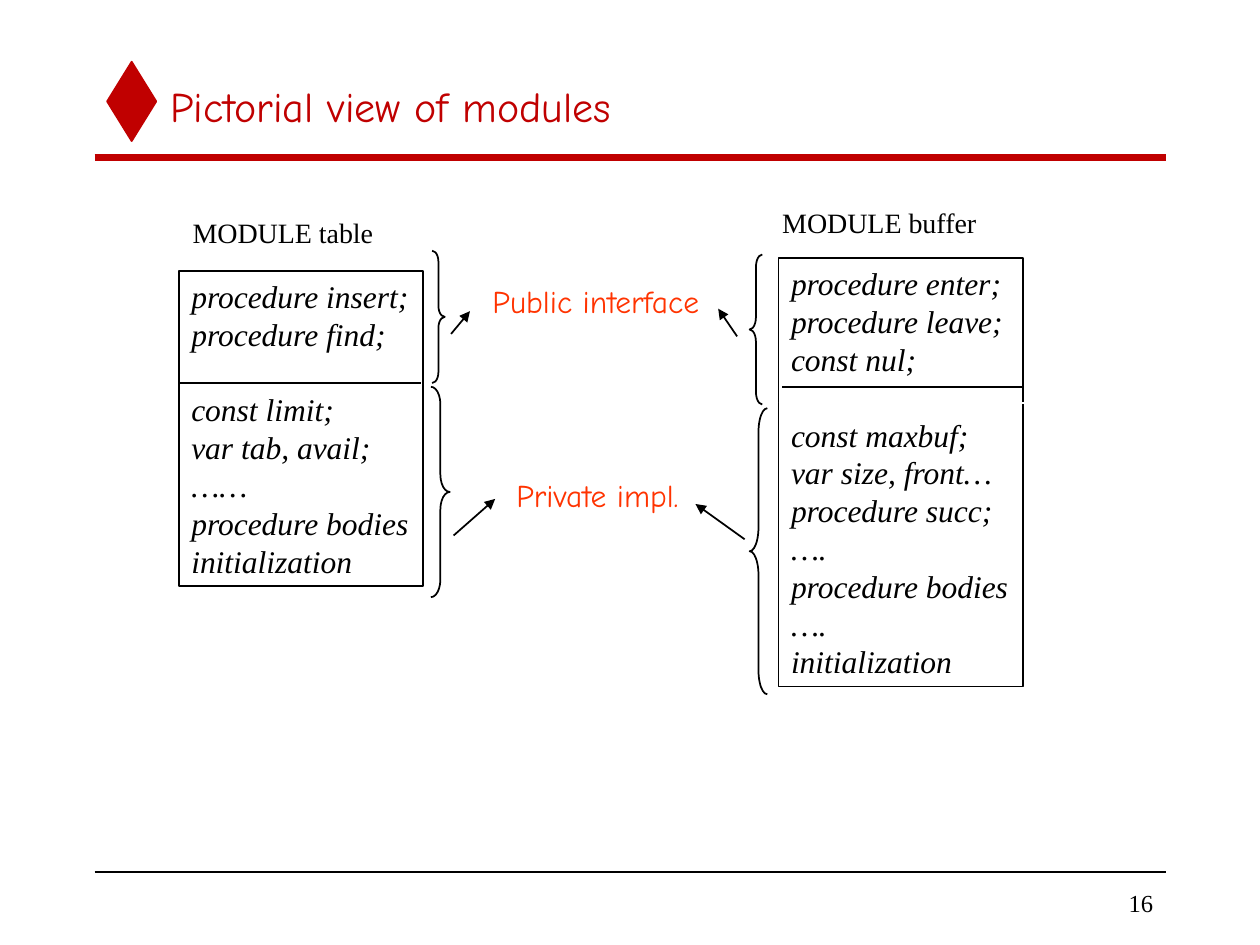
from dataclasses import dataclass

from lxml import etree
from pptx import Presentation
from pptx.dml.color import RGBColor
from pptx.enum import shapes, text
from pptx.oxml import ns
from pptx.util import Inches, Pt


@dataclass(frozen=True)
class Theme:
    red: RGBColor = RGBColor(0xC0, 0x00, 0x00)
    orange: RGBColor = RGBColor(0xFF, 0x33, 0x00)
    black: RGBColor = RGBColor(0x00, 0x00, 0x00)
    white: RGBColor = RGBColor(0xFF, 0xFF, 0xFF)
    serif: str = "Times New Roman"
    comic: str = "Comic Neue"
    title: int = 24
    body: int = 18
    heading: int = 16
    number: int = 14
    leading: float = 1.2


T = Theme()


def style_font(p, size, name, color, italic=False):
    p.font.size = Pt(size)
    p.font.name = name
    p.font.color.rgb = color
    p.font.italic = italic


def add_line(s, x1, y1, x2, y2, color=T.black, width=1, arrow=False):
    line = s.shapes.add_connector(
        shapes.MSO_CONNECTOR.STRAIGHT, Inches(x1), Inches(y1), Inches(x2), Inches(y2))
    line.line.color.rgb = color
    line.line.width = Pt(width)
    if arrow:
        etree.SubElement(line.line._get_or_add_ln(), ns.qn("a:tailEnd"), type="triangle")
    etree.SubElement(line._element.spPr, ns.qn("a:effectLst"))


def add_outline(s, kind, x, y, w, h, color=T.black):
    sp = s.shapes.add_shape(kind, Inches(x), Inches(y), Inches(w), Inches(h))
    sp.shadow.inherit = False
    sp.fill.background()
    sp.line.color.rgb = color
    sp.line.width = Pt(1)
    return sp


def add_brace(s, kind, x, y, w, h):
    sp = add_outline(s, kind, x, y, w, h)
    sp.adjustments[0] = h / 12 / w


def add_label(s, words, x, y, w, h, size, name, color=T.black):
    tf = s.shapes.add_textbox(Inches(x), Inches(y), Inches(w), Inches(h)).text_frame
    tf.word_wrap = False
    p = tf.paragraphs[0]
    p.text = words
    p.line_spacing = Pt(size * T.leading)
    style_font(p, size, name, color)
    return tf


def add_module(s, x, y, w, h, public, private):
    tf = add_outline(s, shapes.MSO_SHAPE.RECTANGLE, x, y, w, h).text_frame
    tf.word_wrap = False
    tf.vertical_anchor = text.MSO_ANCHOR.TOP
    leading = Pt(T.body * T.leading)
    for i, words in enumerate(public + private):
        p = tf.add_paragraph() if i else tf.paragraphs[0]
        p.text = words
        p.alignment = text.PP_ALIGN.LEFT
        p.line_spacing = leading
        if i == len(public):
            p.space_before = leading
        style_font(p, T.body, T.serif, T.black, italic=True)


def add_frame(s):
    diamond = add_outline(s, shapes.MSO_SHAPE.DIAMOND, 0.85, 0.49, 0.39, 0.63, T.red)
    diamond.fill.solid()
    diamond.fill.fore_color.rgb = T.red
    add_line(s, 0.75, 1.25, 9.25, 1.25, T.red, 4)
    add_line(s, 0.75, 6.92, 9.25, 6.92)
    tf = add_label(s, "16", 7.83, 7, 1.42, 0.33, T.number, T.serif)
    tf.vertical_anchor = text.MSO_ANCHOR.MIDDLE
    tf.paragraphs[0].alignment = text.PP_ALIGN.RIGHT


def set_title(s, words):
    title = s.shapes.title
    title.left, title.top = Inches(1.25), Inches(0.5)
    title.width, title.height = Inches(8), Inches(0.67)
    tf = title.text_frame
    tf.vertical_anchor = text.MSO_ANCHOR.MIDDLE
    p = tf.paragraphs[0]
    p.text = words
    p.alignment = text.PP_ALIGN.LEFT
    style_font(p, T.title, T.comic, T.red)


def main():
    prs = Presentation()
    prs.slide_width, prs.slide_height = Inches(10), Inches(7.5)
    s = prs.slides.add_slide(prs.slide_layouts[5])
    set_title(s, "Pictorial view of modules")
    add_frame(s)

    add_label(s, "MODULE table", 1.43, 1.66, 1.75, 0.37, T.heading, T.serif)
    add_module(s, 1.42, 2.15, 1.94, 2.5,
               ["procedure insert;", "procedure find;"],
               ["const limit;", "var tab, avail;", "……", "procedure bodies",
                "initialization"])
    add_label(s, "MODULE buffer", 6.11, 1.58, 1.85, 0.37, T.heading, T.serif)
    add_module(s, 6.18, 2.05, 1.94, 3.4,
               ["procedure enter;", "procedure leave;", "const nul;"],
               ["const maxbuf;", "var size, front…", "procedure succ;", "….",
                "procedure bodies", "….", "initialization"])
    add_line(s, 6.18, 3.2, 8.24, 3.2, T.white)
    add_line(s, 1.43, 3.04, 3.34, 3.04)
    add_line(s, 6.21, 3.07, 8.12, 3.07)

    left, right = shapes.MSO_SHAPE.LEFT_BRACE, shapes.MSO_SHAPE.RIGHT_BRACE
    for kind, *box in (
        (right, 3.43, 1.99, 0.1, 1.05),
        (right, 3.42, 3.07, 0.15, 1.67),
        (left, 5.95, 3.24, 0.14, 2.27),
        (left, 5.95, 2.02, 0.1, 1.19),
    ):
        add_brace(s, kind, *box)

    add_label(s, "Public interface", 3.81, 2.19, 1.85, 0.4, T.body, T.comic, T.orange)
    add_label(s, "Private impl.", 4, 3.73, 1.5, 0.4, T.body, T.comic, T.orange)
    for ends in (
        (3.58, 2.65, 3.73, 2.47),
        (5.85, 2.67, 5.7, 2.45),
        (3.6, 4.25, 3.93, 3.96),
        (5.91, 4.28, 5.52, 4),
    ):
        add_line(s, *ends, arrow=True)

    prs.save("out.pptx")


if __name__ == "__main__":
    main()
